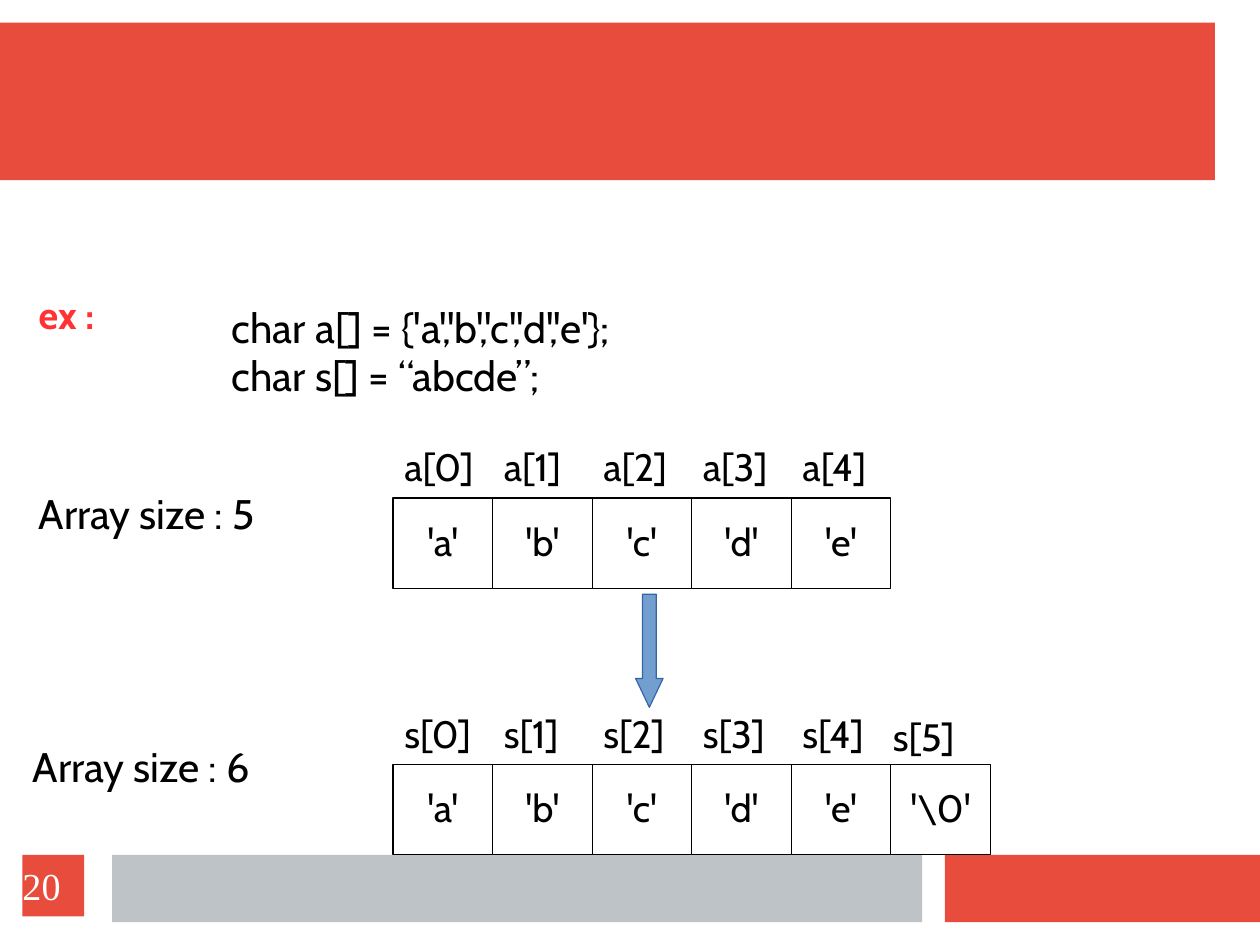
import dataclasses

import pptx
import pptx.dml.color
import pptx.enum.shapes
import pptx.enum.text
import pptx.shapes.autoshape
import pptx.slide
import pptx.util

WIDTH, HEIGHT = pptx.util.Cm(28), pptx.util.Cm(21)
RECTANGLE = pptx.enum.shapes.MSO_SHAPE.RECTANGLE
DOWN_ARROW = pptx.enum.shapes.MSO_SHAPE.DOWN_ARROW
MIDDLE = pptx.enum.text.MSO_ANCHOR.MIDDLE
LEFT = pptx.enum.text.PP_ALIGN.LEFT
CENTER = pptx.enum.text.PP_ALIGN.CENTER

RED, GREY, BLACK, WHITE = "E74C3C", "BDC3C7", "000000", "FFFFFF"

# Grid of array cells, in percent of the slide
FIRST_COLUMN, COLUMN = 31.2, 7.9
CELL_ROW, INDEX_ROW = 9.55, 6.05


@dataclasses.dataclass(frozen=True)
class Area:
    """A place on the slide, in percent of its width and height."""
    left: float
    top: float
    width: float
    height: float

    def emu(self) -> list[int]:
        return [round(share * side / 100) for share, side in
                zip((self.left, self.top, self.width, self.height),
                    (WIDTH, HEIGHT, WIDTH, HEIGHT))]


@dataclasses.dataclass(frozen=True)
class Caption:
    lines: tuple[str, ...]
    area: Area
    size: int = 26
    color: str = BLACK
    bold: bool = False


@dataclasses.dataclass(frozen=True)
class CharArray:
    name: str
    values: tuple[str, ...]
    top: float


BANDS = (
    (Area(0, 2.38, 96.43, 16.67), RED),
    (Area(75, 90.45, 25, 7.13), RED),
    (Area(8.9, 90.45, 64.3, 7.13), GREY),
)
LETTERS = ("a", "b", "c", "d", "e")
ARRAYS = (
    CharArray("a", LETTERS, 52.7),
    CharArray("s", LETTERS + ("\\0",), 80.9),
)
CAPTIONS = (
    Caption(("ex :",), Area(2.18, 30.47, 15.7, 6.05), 24, "FF3333", True),
    Caption(("char a[] = {'a','b','c','d','e'};", "char s[] = “abcde”;"),
            Area(17.51, 31.68, 48.91, 11.49)),
    Caption(("Array size : 5",), Area(2.18, 51.39, 23.32, 6.41)),
    Caption(("Array size : 6",), Area(1.72, 78.11, 23.32, 6.41)),
)


def rgb(color: str) -> pptx.dml.color.RGBColor:
    return pptx.dml.color.RGBColor.from_string(color)


def write(shape: pptx.shapes.autoshape.Shape, lines: tuple[str, ...],
          size: int = 24, color: str = BLACK, bold: bool = False,
          font: str = "Cabin", align: int = LEFT, spacing: float = 0.97,
          **frame_format) -> None:
    frame = shape.text_frame
    for key, value in ({"word_wrap": True} | frame_format).items():
        setattr(frame, key, value)
    frame.text = "\n".join(lines)
    letter_format = {"name": font, "size": pptx.util.Pt(size), "bold": bold}
    for paragraph in frame.paragraphs:
        paragraph.alignment = align
        paragraph.line_spacing = spacing
        for run in paragraph.runs:
            for key, value in letter_format.items():
                setattr(run.font, key, value)
            run.font.color.rgb = rgb(color)


def draw_shape(slide: pptx.slide.Slide, area: Area, fill: str,
               line: str | None = None,
               preset: int = RECTANGLE) -> pptx.shapes.autoshape.Shape:
    shape = slide.shapes.add_shape(preset, *area.emu())
    shape.shadow.inherit = False
    shape.fill.solid()
    shape.fill.fore_color.rgb = rgb(fill)
    if line:
        shape.line.color.rgb = rgb(line)
        shape.line.width = pptx.util.Pt(0.75)
    else:
        shape.line.fill.background()
    return shape


def draw_caption(slide: pptx.slide.Slide, caption: Caption) -> None:
    box = slide.shapes.add_textbox(*caption.area.emu())
    write(box, caption.lines, caption.size, caption.color, caption.bold)


def draw_array(slide: pptx.slide.Slide, array: CharArray) -> None:
    for index, value in enumerate(array.values):
        left = FIRST_COLUMN + index * COLUMN
        cell = draw_shape(slide, Area(left, array.top, COLUMN, CELL_ROW),
                          WHITE, BLACK)
        write(cell, (f"'{value}'",), align=CENTER, vertical_anchor=MIDDLE)
        # The terminator's index sits slightly left and low
        shift, drop = (-0.73, 0.36) if value == "\\0" else (0, 0)
        index_area = Area(left + shift, array.top - INDEX_ROW + drop,
                          COLUMN, INDEX_ROW)
        draw_caption(slide, Caption((f"{array.name}[{index}]",),
                                    index_area, 24))


def main() -> None:
    deck = pptx.Presentation()
    deck.slide_width, deck.slide_height = WIDTH, HEIGHT
    slide = deck.slides.add_slide(deck.slide_layouts[6])

    # Header and footer bands
    for area, color in BANDS:
        draw_shape(slide, area, color)

    # Arrays with their indexes
    for array in ARRAYS:
        draw_array(slide, array)

    # Arrow from the first array to the second
    arrow = draw_shape(slide, Area(50.45, 62.88, 2.18, 11.97),
                       "729FCF", "3465A4", DOWN_ARROW)
    arrow.adjustments[0], arrow.adjustments[1] = 0.5, 1.05

    # Code and captions
    for caption in CAPTIONS:
        draw_caption(slide, caption)

    # Slide number
    number = draw_shape(slide, Area(1.79, 90.45, 4.9, 6.53), RED)
    write(number, ("20",), color=WHITE, font="Times New Roman", spacing=1.0,
          vertical_anchor=MIDDLE, margin_left=0, margin_right=0,
          margin_top=0, margin_bottom=0)

    deck.save("out.pptx")


if __name__ == "__main__":
    main()
